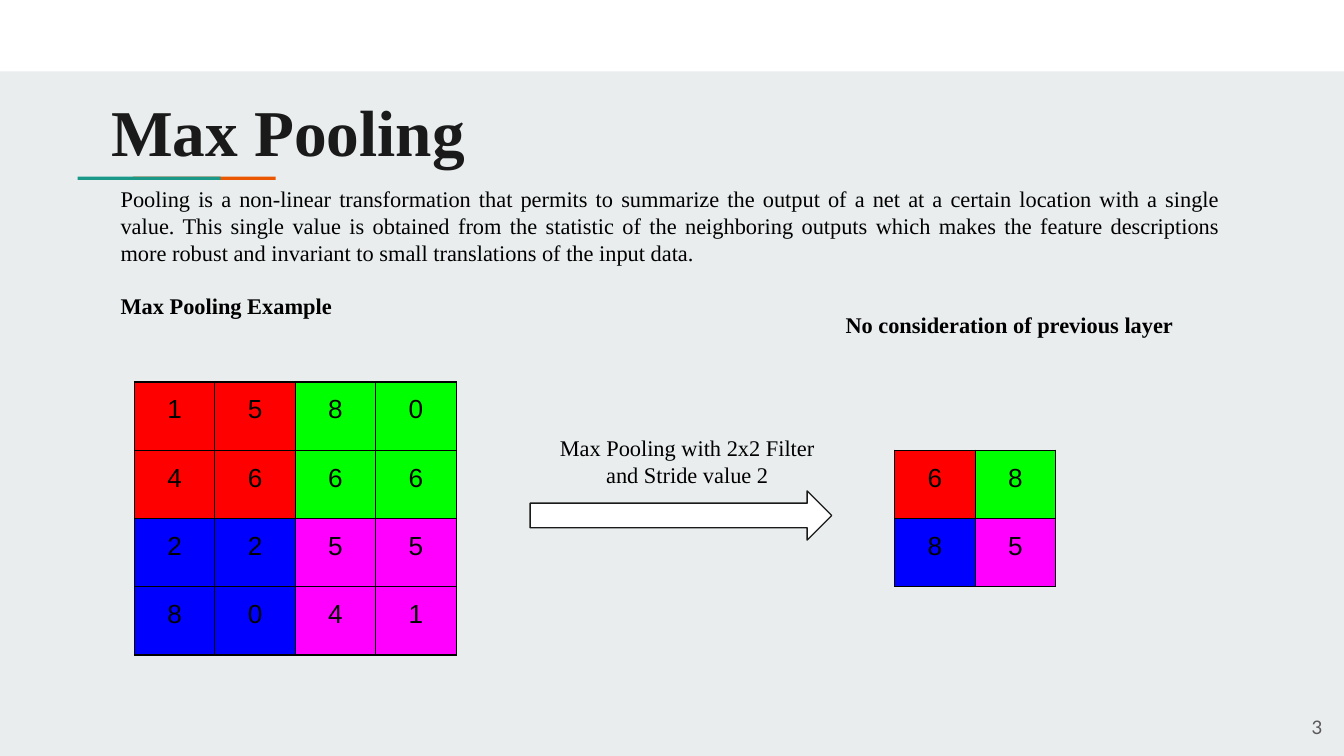
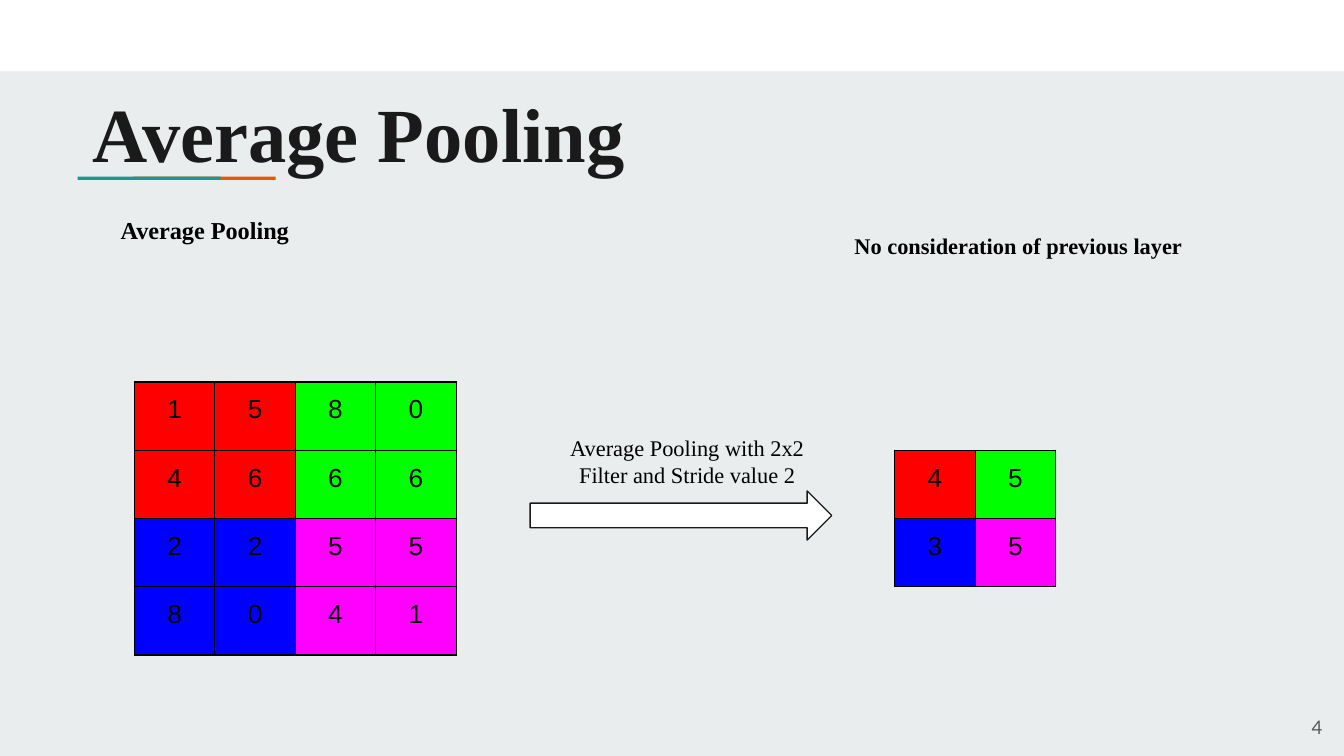
"""Builds two slides that compare max pooling with average pooling."""
from dataclasses import dataclass
from typing import NamedTuple

from lxml import etree
from pptx import Presentation
from pptx.dml.color import RGBColor
from pptx.enum.shapes import MSO_SHAPE
from pptx.enum.text import MSO_ANCHOR, PP_ALIGN
from pptx.oxml.ns import qn
from pptx.presentation import Presentation as Deck
from pptx.shapes.autoshape import Shape
from pptx.slide import Slide
from pptx.util import Cm, Pt

RECTANGLE, RIGHT_ARROW = MSO_SHAPE.RECTANGLE, MSO_SHAPE.RIGHT_ARROW
LEFT, CENTER, RIGHT, JUSTIFY = (
    PP_ALIGN.LEFT, PP_ALIGN.CENTER, PP_ALIGN.RIGHT, PP_ALIGN.JUSTIFY)
TOP, MIDDLE = MSO_ANCHOR.TOP, MSO_ANCHOR.MIDDLE
BLANK_LAYOUT = 6
BORDER_TAGS = ("a:lnL", "a:lnR", "a:lnT", "a:lnB")


@dataclass(frozen=True)
class Theme:
    """Colours, fonts, type sizes and measures of the deck."""
    ground: str = "E9EDEE"
    white: str = "FFFFFF"
    black: str = "000000"
    ink: str = "1A1A1A"
    grey: str = "595959"
    teal: str = "1A9988"
    orange: str = "EB5600"
    quadrants: tuple[tuple[str, str], ...] = (
        ("FF0000", "00FF00"), ("0000FF", "FF00FF"))
    serif: str = "Times New Roman"
    sans: str = "Arial"
    number_font: str = "Lato"
    body_size: int = 12
    cell_size: int = 14
    number_size: int = 10
    line_width: float = 0.75
    inset: float = 0.25


THEME = Theme()


class Area(NamedTuple):
    """A rectangle in centimetres."""
    left: float
    top: float
    width: float
    height: float

    def lengths(self) -> tuple[Cm, ...]:
        """Return the four measures as lengths."""
        return tuple(Cm(value) for value in self)


@dataclass(frozen=True)
class Line:
    """One paragraph with its type."""
    text: str
    size: float = THEME.body_size
    bold: bool = False
    align: PP_ALIGN = LEFT
    font: str = THEME.serif
    color: str = THEME.black
    before: float = 0


Grid = tuple[tuple[int, ...], ...]


@dataclass(frozen=True)
class PoolingSlide:
    """The parts in which the pooling slides differ."""
    number: int
    title: str
    title_size: float
    title_area: Area
    body: tuple[Line, ...]
    body_area: Area
    caption: str
    note_area: Area
    result: Grid


SLIDE_WIDTH, SLIDE_HEIGHT = 25.4, 14.29
CELL_WIDTH, CELL_HEIGHT = 1.52, 1.29
BAND = Area(0, 0, SLIDE_WIDTH, 1.35)
ACCENTS = (
    (Area(2.51, 3.34, 2.7, 0.06), THEME.orange),
    (Area(1.47, 3.34, 2.7, 0.06), THEME.teal),
)
ARROW = Area(10.02, 9.28, 5.7, 0.93)
CAPTION = Area(10.02, 7.95, 5.94, 0.69)
NUMBER = Area(23.72, 13.19, 1.52, 1.09)
INPUT_CORNER, RESULT_CORNER = (2.54, 7.22), (16.91, 8.51)
INPUT_GRID: Grid = ((1, 5, 8, 0), (4, 6, 6, 6), (2, 2, 5, 5), (8, 0, 4, 1))
NOTE = "No consideration of previous layer"

SLIDES = (
    PoolingSlide(
        number=3,
        title="Max Pooling",
        title_size=35,
        title_area=Area(1.85, 1.47, 21.36, 1.78),
        body=(
            Line("Pooling is a non-linear transformation that permits to "
                 "summarize the output of a net at a certain location with a "
                 "single value. This single value is obtained from the "
                 "statistic of the neighboring outputs which makes the "
                 "feature descriptions more robust and invariant to small "
                 "translations of the input data.", align=JUSTIFY),
            Line("Max Pooling Example", bold=True, align=JUSTIFY, before=14),
        ),
        body_area=Area(2.03, 3.25, 21.3, 10.9),
        caption="Max Pooling with 2x2 Filter and Stride value 2",
        note_area=Area(14.94, 5.64, 8.28, 0.69),
        result=((6, 8), (8, 5)),
    ),
    PoolingSlide(
        number=4,
        title="Average Pooling",
        title_size=41,
        title_area=Area(1.5, 1.37, 21.36, 1.93),
        body=(Line("Average Pooling", size=13, bold=True),),
        body_area=Area(2.03, 3.81, 21.36, 10.48),
        caption="Average Pooling with 2x2 Filter and Stride value 2",
        note_area=Area(15.11, 4.14, 8.28, 0.69),
        result=((4, 5), (3, 5)),
    ),
)


def apply(target: object, values: dict[str, object]) -> None:
    """Set each named attribute on the target."""
    for name, value in values.items():
        setattr(target, name, value)


def write_line(para, line: Line) -> None:
    """Fill a paragraph with one formatted line."""
    apply(para, {"alignment": line.align, "line_spacing": 1.0,
                 "space_before": Pt(line.before), "space_after": Pt(0)})
    span = para.add_run()
    span.text = line.text
    apply(span.font, {"name": line.font, "size": Pt(line.size),
                      "bold": line.bold})
    span.font.color.rgb = RGBColor.from_string(line.color)


def add_text(page: Slide, area: Area, *lines: Line,
             anchor: MSO_ANCHOR = TOP) -> None:
    """Add a wrapping text box with one paragraph per line."""
    frame = page.shapes.add_textbox(*area.lengths()).text_frame
    inset = Cm(THEME.inset)
    apply(frame, {"word_wrap": True, "vertical_anchor": anchor,
                  "margin_left": inset, "margin_right": inset,
                  "margin_top": inset, "margin_bottom": inset})
    for index, line in enumerate(lines):
        para = frame.add_paragraph() if index else frame.paragraphs[0]
        write_line(para, line)


def add_block(page: Slide, area: Area, fill: str,
              kind: MSO_SHAPE = RECTANGLE) -> Shape:
    """Add a flat filled shape without an outline."""
    block = page.shapes.add_shape(kind, *area.lengths())
    block.shadow.inherit = False
    block.fill.solid()
    block.fill.fore_color.rgb = RGBColor.from_string(fill)
    block.line.fill.background()
    return block


def add_arrow(page: Slide) -> None:
    """Add the outlined arrow from the input to the result."""
    arrow = add_block(page, ARROW, THEME.white, RIGHT_ARROW)
    arrow.line.color.rgb = RGBColor.from_string(THEME.ink)
    arrow.line.width = Pt(THEME.line_width)


def border_cell(cell) -> None:
    """Draw a thin black line on all four sides, ahead of the fill."""
    properties = cell._tc.get_or_add_tcPr()
    for index, tag in enumerate(BORDER_TAGS):
        border = etree.Element(qn(tag), w=str(Pt(THEME.line_width)))
        fill = etree.SubElement(border, qn("a:solidFill"))
        etree.SubElement(fill, qn("a:srgbClr"), val=THEME.black)
        properties.insert(index, border)


def add_grid(page: Slide, corner: tuple[float, float], values: Grid) -> None:
    """Add a number table with one colour for each quadrant."""
    rows, columns = len(values), len(values[0])
    area = Area(*corner, columns * CELL_WIDTH, rows * CELL_HEIGHT)
    table = page.shapes.add_table(rows, columns, *area.lengths()).table
    apply(table, {"first_row": False, "horz_banding": False})
    for column in table.columns:
        column.width = Cm(CELL_WIDTH)
    inset = Cm(THEME.inset)
    for row, numbers in enumerate(values):
        table.rows[row].height = Cm(CELL_HEIGHT)
        for column, number in enumerate(numbers):
            cell = table.cell(row, column)
            color = THEME.quadrants[2 * row // rows][2 * column // columns]
            apply(cell, {"margin_left": inset, "margin_right": inset,
                         "margin_top": inset, "margin_bottom": inset,
                         "vertical_anchor": TOP})
            cell.fill.solid()
            cell.fill.fore_color.rgb = RGBColor.from_string(color)
            border_cell(cell)
            write_line(cell.text_frame.paragraphs[0],
                       Line(str(number), THEME.cell_size, align=CENTER,
                            font=THEME.sans))


def add_page(deck: Deck) -> Slide:
    """Add a slide with the shared ground, band and accent bars."""
    page = deck.slides.add_slide(deck.slide_layouts[BLANK_LAYOUT])
    page.background.fill.solid()
    page.background.fill.fore_color.rgb = RGBColor.from_string(THEME.ground)
    add_block(page, BAND, THEME.white)
    for area, color in ACCENTS:
        add_block(page, area, color)
    return page


def add_pooling_slide(deck: Deck, content: PoolingSlide) -> None:
    """Add one slide that shows a pooling step."""
    page = add_page(deck)
    add_text(page, content.title_area,
             Line(content.title, content.title_size, bold=True,
                  color=THEME.ink))
    add_text(page, content.body_area, *content.body)
    add_grid(page, INPUT_CORNER, INPUT_GRID)
    add_grid(page, RESULT_CORNER, content.result)
    add_arrow(page)
    add_text(page, CAPTION, Line(content.caption, align=CENTER))
    add_text(page, content.note_area, Line(NOTE, bold=True, align=CENTER))
    add_text(page, NUMBER,
             Line(str(content.number), THEME.number_size, align=RIGHT,
                  font=THEME.number_font, color=THEME.grey),
             anchor=MIDDLE)


def main() -> None:
    """Build the deck and save it."""
    deck = Presentation()
    apply(deck, {"slide_width": Cm(SLIDE_WIDTH),
                 "slide_height": Cm(SLIDE_HEIGHT)})
    for content in SLIDES:
        add_pooling_slide(deck, content)
    deck.save("out.pptx")


if __name__ == "__main__":
    main()
